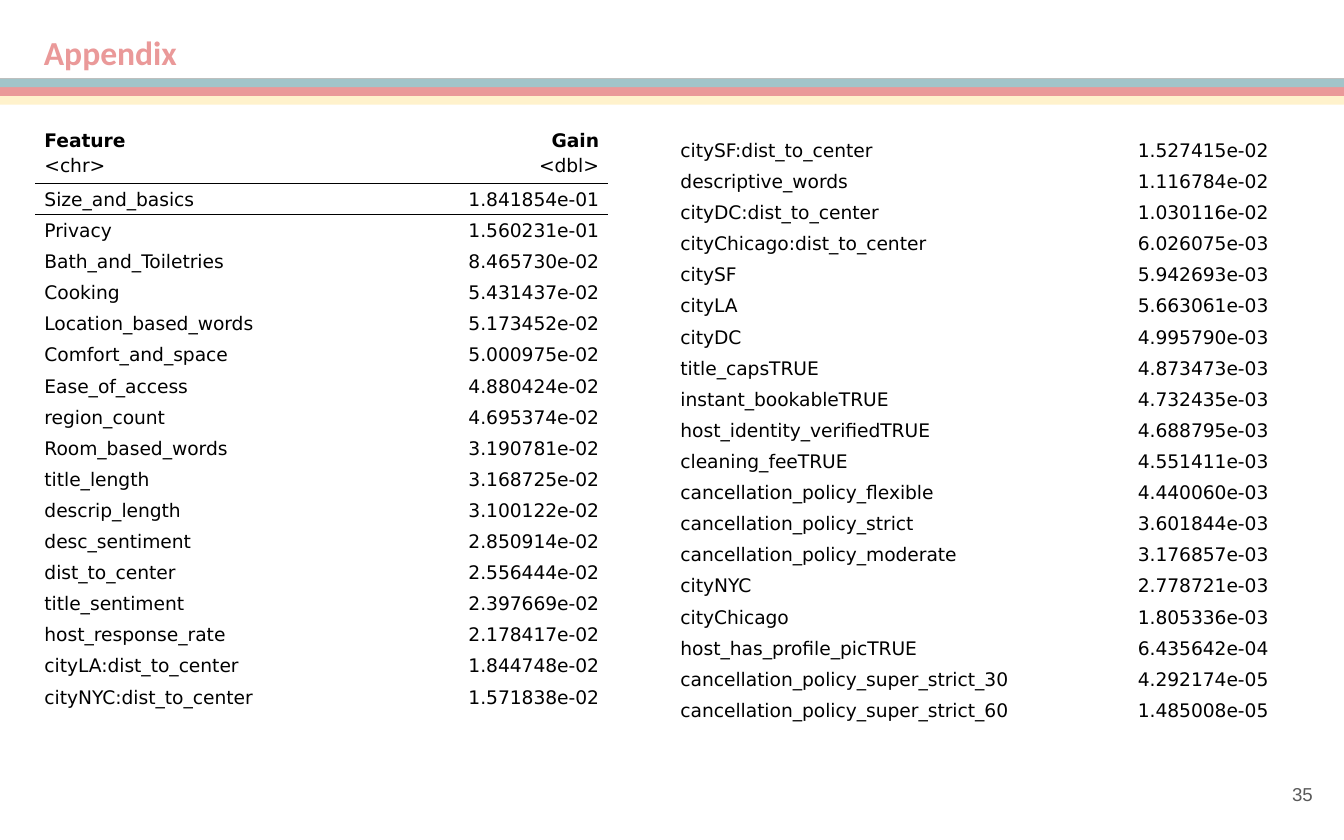
from lxml.etree import SubElement
from pptx import Presentation
from pptx.dml.color import RGBColor
from pptx.enum.shapes import MSO_SHAPE
from pptx.enum.text import MSO_ANCHOR, MSO_AUTO_SIZE, PP_ALIGN
from pptx.oxml.ns import qn
from pptx.util import Cm, Pt

COLORS = {
    "white": "FFFFFF",
    "black": "000000",
    "pink": "EA9999",
    "cream": "FFF2CC",
    "teal": "A2C4C9",
    "gray": "595959",
}

HEADER = ("Feature\n<chr>", "Gain\n<dbl>")

LEADING_FEATURES = [
    ("Size_and_basics", "1.841854e-01"),
    ("Privacy", "1.560231e-01"),
    ("Bath_and_Toiletries", "8.465730e-02"),
    ("Cooking", "5.431437e-02"),
    ("Location_based_words", "5.173452e-02"),
    ("Comfort_and_space", "5.000975e-02"),
    ("Ease_of_access", "4.880424e-02"),
    ("region_count", "4.695374e-02"),
    ("Room_based_words", "3.190781e-02"),
    ("title_length", "3.168725e-02"),
    ("descrip_length", "3.100122e-02"),
    ("desc_sentiment", "2.850914e-02"),
    ("dist_to_center", "2.556444e-02"),
    ("title_sentiment", "2.397669e-02"),
    ("host_response_rate", "2.178417e-02"),
    ("cityLA:dist_to_center", "1.844748e-02"),
    ("cityNYC:dist_to_center", "1.571838e-02"),
]

REMAINING_FEATURES = [
    ("citySF:dist_to_center", "1.527415e-02"),
    ("descriptive_words", "1.116784e-02"),
    ("cityDC:dist_to_center", "1.030116e-02"),
    ("cityChicago:dist_to_center", "6.026075e-03"),
    ("citySF", "5.942693e-03"),
    ("cityLA", "5.663061e-03"),
    ("cityDC", "4.995790e-03"),
    ("title_capsTRUE", "4.873473e-03"),
    ("instant_bookableTRUE", "4.732435e-03"),
    ("host_identity_verifiedTRUE", "4.688795e-03"),
    ("cleaning_feeTRUE", "4.551411e-03"),
    ("cancellation_policy_flexible", "4.440060e-03"),
    ("cancellation_policy_strict", "3.601844e-03"),
    ("cancellation_policy_moderate", "3.176857e-03"),
    ("cityNYC", "2.778721e-03"),
    ("cityChicago", "1.805336e-03"),
    ("host_has_profile_picTRUE", "6.435642e-04"),
    ("cancellation_policy_super_strict_30", "4.292174e-05"),
    ("cancellation_policy_super_strict_60", "1.485008e-05"),
]

ROW_HEIGHT = Cm(0.57)
HEADER_HEIGHT = Cm(1.25)


def color(name):
    return RGBColor.from_string(COLORS[name])


def write_text(text_frame, text, font="DejaVu Sans", size=10, fill="black",
               bold_first=False, align=PP_ALIGN.LEFT, spacing=1.0):
    text_frame.text = text
    for index, paragraph in enumerate(text_frame.paragraphs):
        paragraph.alignment = align
        paragraph.line_spacing = spacing
        paragraph.font.name = font
        paragraph.font.size = Pt(size)
        paragraph.font.bold = bold_first and index == 0
        paragraph.font.color.rgb = color(fill)


def set_margins(holder, side, top, bottom):
    holder.margin_left = holder.margin_right = side
    holder.margin_top, holder.margin_bottom = top, bottom


def add_border(cell, edge):
    line = SubElement(cell._tc.get_or_add_tcPr(), qn(f"a:{edge}"), w=str(Pt(0.75)))
    fill = SubElement(line, qn("a:solidFill"))
    SubElement(fill, qn("a:srgbClr"), val=COLORS["black"])


def place_title(slide, left, top, width, height):
    title = slide.shapes.title
    title.left, title.top, title.width, title.height = left, top, width, height
    text_frame = title.text_frame
    text_frame.auto_size = MSO_AUTO_SIZE.NONE
    text_frame.vertical_anchor = MSO_ANCHOR.TOP
    set_margins(text_frame, Cm(0.25), Cm(0.25), Cm(0.25))
    write_text(text_frame, "Appendix", font="Calibri", size=18, fill="pink",
               bold_first=True)


def add_stripes(slide, left, top, width, height):
    for position, name in enumerate(("cream", "pink", "teal")):
        stripe = slide.shapes.add_shape(MSO_SHAPE.RECTANGLE, left, top, width,
                                        height * (3 - position) // 3)
        stripe.shadow.inherit = False
        stripe.fill.solid()
        stripe.fill.fore_color.rgb = color(name)
        stripe.line.fill.background()


def add_page_number(slide, left, top, width, height):
    text_frame = slide.shapes.add_textbox(left, top, width, height).text_frame
    text_frame.word_wrap = True
    text_frame.vertical_anchor = MSO_ANCHOR.MIDDLE
    set_margins(text_frame, Cm(0.25), Cm(0.25), Cm(0.25))
    write_text(text_frame, "35", font="Arial", fill="gray", align=PP_ALIGN.RIGHT)


def add_feature_table(slide, left, top, column_widths, features, header=None):
    rows = ([header] if header else []) + features
    height = ROW_HEIGHT * len(features) + (HEADER_HEIGHT if header else 0)
    table = slide.shapes.add_table(len(rows), 2, left, top,
                                   sum(column_widths), height).table
    table.first_row = table.horz_banding = False
    for column, width in zip(table.columns, column_widths):
        column.width = width
    for row_index, values in enumerate(rows):
        is_header = values is header
        table.rows[row_index].height = HEADER_HEIGHT if is_header else ROW_HEIGHT
        for column_index, text in enumerate(values):
            cell = table.cell(row_index, column_index)
            if header and row_index in (1, 2):
                add_border(cell, "lnT")
            if header and row_index in (0, 1):
                add_border(cell, "lnB")
            cell.fill.solid()
            cell.fill.fore_color.rgb = color("white")
            if is_header:
                set_margins(cell, Cm(0.16), Cm(0.25), Cm(0.08))
            else:
                set_margins(cell, Cm(0.16), Cm(0.05), Cm(0.05))
            write_text(cell.text_frame, text, bold_first=is_header, spacing=1.15,
                       align=PP_ALIGN.RIGHT if column_index else PP_ALIGN.LEFT)


def build_appendix(presentation):
    slide = presentation.slides.add_slide(presentation.slide_layouts[5])
    place_title(slide, Cm(0.58), Cm(0.36), Cm(24.82), Cm(0.79))
    add_page_number(slide, Cm(23.54), Cm(14.4), Cm(1.52), Cm(1.22))
    add_stripes(slide, Cm(0), Cm(1.48), presentation.slide_width, Cm(0.5))
    add_feature_table(slide, Cm(12.7), Cm(2.54), (Cm(8.33), Cm(3.1)),
                      REMAINING_FEATURES)
    add_feature_table(slide, Cm(0.68), Cm(2.16), (Cm(5.67), Cm(5.13)),
                      LEADING_FEATURES, header=HEADER)


def main():
    presentation = Presentation()
    presentation.slide_width, presentation.slide_height = Cm(25.4), Cm(15.88)
    build_appendix(presentation)
    presentation.save("out.pptx")


if __name__ == "__main__":
    main()
